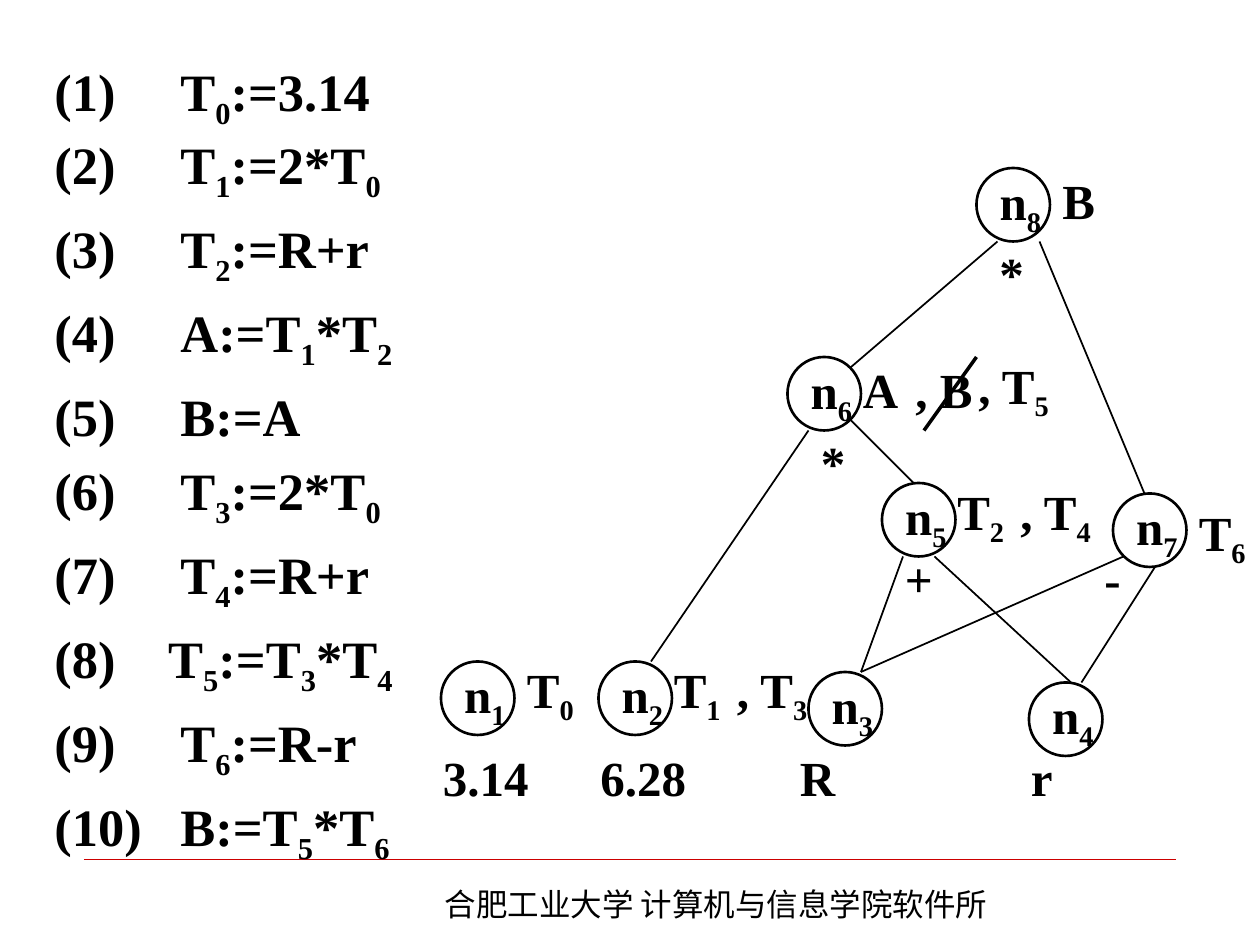
from typing import NamedTuple

from lxml import etree
from pptx import Presentation
from pptx.dml.color import RGBColor
from pptx.enum import shapes, text
from pptx.oxml import ns
from pptx.util import Pt

BLACK = RGBColor(0x00, 0x00, 0x00)
RED = RGBColor(0xCC, 0x00, 0x00)
LATIN = "Times New Roman"
CJK = "Noto Sans CJK SC"
NODE_SIZE = 42
LABEL_HEIGHT = 24
STATEMENT_LEFT = 24
STATEMENT_TAB = 72


class Statement(NamedTuple):
    content: str
    top: float
    width: float
    height: float
    tab: float = STATEMENT_TAB


class Node(NamedTuple):
    content: str
    left: float
    top: float


class Label(NamedTuple):
    content: str
    left: float
    top: float
    width: float = 42


class Edge(NamedTuple):
    x1: float
    y1: float
    x2: float
    y2: float


# An underscore makes the next character a subscript.
STATEMENTS = [
    Statement("(1) \tT_0:=3.14", 30, 222, 48),
    Statement("(2) \tT_1:=2*T_0", 72, 216, 54),
    Statement("(3) \tT_2:=R+r", 120, 210, 48),
    Statement("(4) \tA:=T_1*T_2", 168, 216, 54),
    Statement("(5) \tB:=A", 216, 204, 48),
    Statement("(6) \tT_3:=2*T_0", 258, 216, 54),
    Statement("(7) \tT_4:=R+r", 306, 228, 60),
    Statement("(8) \tT_5:=T_3*T_4", 354, 240, 60, tab=65),
    Statement("(9) \tT_6:=R-r", 402, 216, 54),
    Statement("(10)\tB:=T_5*T_6", 450, 216, 60),
]

NODES = [
    Node("n_1", 252, 378),
    Node("n_2", 342, 378),
    Node("n_3", 462, 384),
    Node("n_4", 588, 390),
    Node("n_5", 504, 276),
    Node("n_6", 450, 204),
    Node("n_7", 636, 282),
    Node("n_8", 558, 96),
]

LEAF_VALUES = [
    Label("3.14", 246, 432, 60),
    Label("6.28", 336, 432, 60),
    Label("R", 450, 432, 60),
    Label("r", 582, 432, 60),
]

OPERATORS = [
    Label("+", 510, 318, 30),
    Label("*", 462, 252, 30),
    Label("-", 624, 318, 30),
    Label("*", 564, 144, 30),
]

IDENTIFIERS = [
    Label("T_0", 294, 384),
    Label("T_1", 378, 384),
    Label(", T_3", 414, 384),
    Label("T_2", 540, 282),
    Label(", T_4", 576, 282),
    Label("A", 486, 210),
    Label(", B", 516, 210),
    Label(", T_5", 552, 210),
    Label("T_6", 678, 294),
    Label("B", 600, 102),
]

EDGES = [
    Edge(516, 318, 492, 384),  # n5 - n3
    Edge(534, 318, 612, 390),  # n5 - n4
    Edge(462, 246, 372, 378),  # n6 - n2
    Edge(486, 240, 522, 276),  # n6 - n5
    Edge(492, 384, 642, 318),  # n3 - n7
    Edge(618, 390, 660, 324),  # n4 - n7
    Edge(570, 138, 486, 210),  # n8 - n6
    Edge(594, 138, 654, 282),  # n8 - n7
]
STRIKE_THROUGH_B = Edge(558, 204, 528, 246)
FOOTER_RULE = Edge(48, 491, 672, 491)


def add_run(paragraph, content: str, size: float, subscript: bool = False) -> None:
    run = paragraph.add_run()
    run.text = content
    run.font.name = LATIN
    run.font.size = Pt(size)
    run.font.bold = True
    run.font.color.rgb = BLACK
    if subscript:
        run.font._element.set("baseline", "-25000")


def write_formula(paragraph, content: str, size: float) -> None:
    """Add one run per normal or subscript stretch of the content."""
    paragraph.alignment = text.PP_ALIGN.LEFT
    first, *rest = content.split("_")
    add_run(paragraph, first, size)
    for part in rest:
        add_run(paragraph, part[0], size, subscript=True)
        if part[1:]:
            add_run(paragraph, part[1:], size)


def add_unwrapped(slide, kind: shapes.MSO_SHAPE, label: Label, height: float):
    """Add an unfilled shape whose text may run past its sides on one line."""
    shape = slide.shapes.add_shape(
        kind, Pt(label.left), Pt(label.top), Pt(label.width), Pt(height))
    shape.shadow.inherit = False
    shape.fill.background()
    frame = shape.text_frame
    frame.word_wrap = False
    frame.vertical_anchor = text.MSO_ANCHOR.MIDDLE
    write_formula(frame.paragraphs[0], label.content, 28)
    return shape


def add_statement(slide, statement: Statement) -> None:
    box = slide.shapes.add_textbox(
        Pt(STATEMENT_LEFT), Pt(statement.top), Pt(statement.width), Pt(statement.height))
    box.text_frame.word_wrap = True
    paragraph = box.text_frame.paragraphs[0]
    tabs = etree.SubElement(paragraph._p.get_or_add_pPr(), ns.qn("a:tabLst"))
    etree.SubElement(tabs, ns.qn("a:tab"), pos=str(Pt(statement.tab)), algn="l")
    write_formula(paragraph, statement.content, 30)


def add_node(slide, node: Node) -> None:
    circle = add_unwrapped(
        slide, shapes.MSO_SHAPE.OVAL, Label(*node, NODE_SIZE), NODE_SIZE)
    circle.line.color.rgb = BLACK
    circle.line.width = Pt(1.5)


def add_label(slide, label: Label) -> None:
    box = add_unwrapped(slide, shapes.MSO_SHAPE.RECTANGLE, label, LABEL_HEIGHT)
    box.line.fill.background()


def add_edge(slide, edge: Edge, width: float = 1, color: RGBColor = BLACK) -> None:
    line = slide.shapes.add_connector(
        shapes.MSO_CONNECTOR.STRAIGHT, *(Pt(value) for value in edge))
    line.line.color.rgb = color
    line.line.width = Pt(width)
    etree.SubElement(line._element.spPr, ns.qn("a:effectLst"))


def add_footer(slide) -> None:
    add_edge(slide, FOOTER_RULE, 0.25, RED)
    box = slide.shapes.add_textbox(Pt(247), Pt(502), Pt(340), Pt(29))
    box.text_frame.word_wrap = True
    box.text_frame.auto_size = text.MSO_AUTO_SIZE.SHAPE_TO_FIT_TEXT
    run = box.text_frame.paragraphs[0].add_run()
    run.text = "合肥工业大学 计算机与信息学院软件所"
    run.font.size = Pt(18)
    run.font.color.rgb = BLACK
    run.font.name = CJK
    etree.SubElement(run.font._element, ns.qn("a:ea"), typeface=CJK)


def main() -> None:
    deck = Presentation()
    deck.slide_width, deck.slide_height = Pt(720), Pt(540)
    slide = deck.slides.add_slide(deck.slide_layouts[6])
    add_footer(slide)
    for statement in STATEMENTS:
        add_statement(slide, statement)
    for node in NODES:
        add_node(slide, node)
    for edge in EDGES:
        add_edge(slide, edge)
    for label in LEAF_VALUES + OPERATORS + IDENTIFIERS:
        add_label(slide, label)
    add_edge(slide, STRIKE_THROUGH_B, 2)
    deck.save("out.pptx")


if __name__ == "__main__":
    main()
